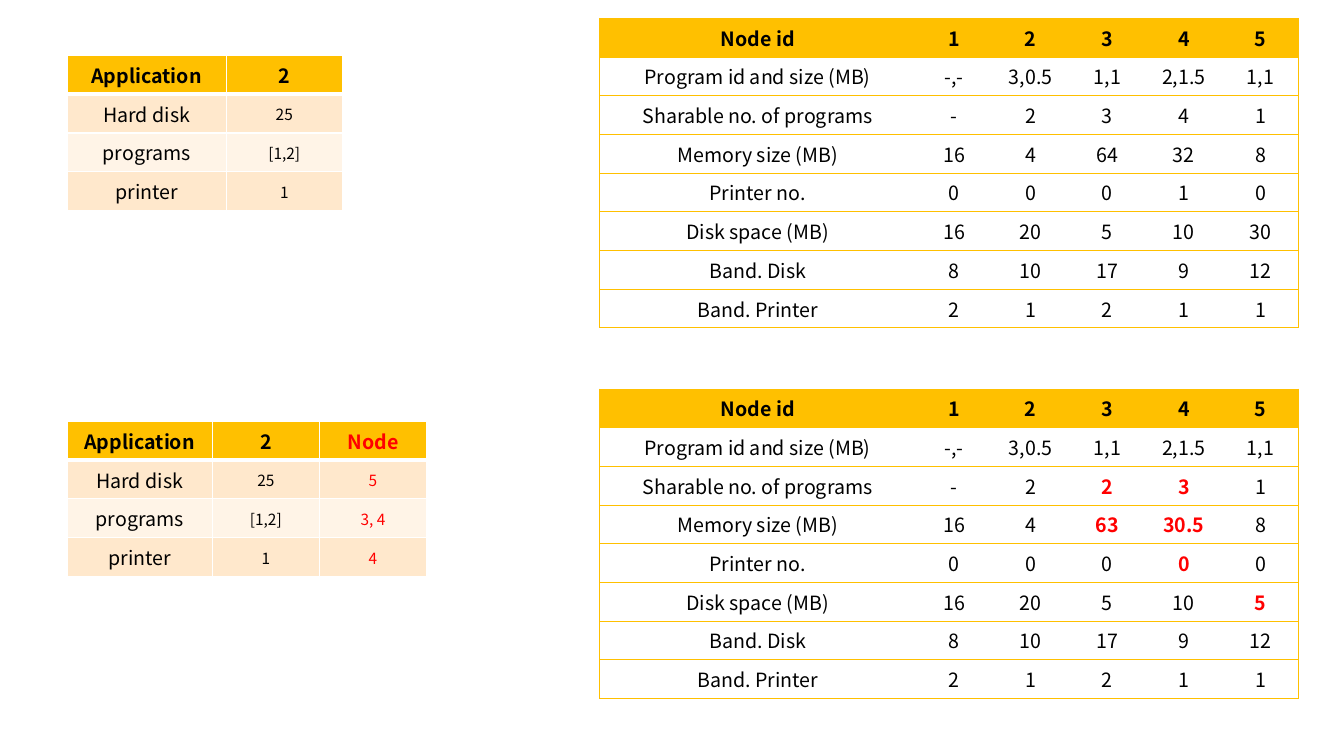
from dataclasses import dataclass, field

from lxml.etree import SubElement
from pptx import Presentation
from pptx.dml.color import RGBColor
from pptx.enum.text import MSO_ANCHOR, PP_ALIGN
from pptx.oxml.ns import qn
from pptx.util import Cm, Pt

FONT = "Noto Sans CJK JP"
GOLD, WHITE, BLACK, RED = "FFC000", "FFFFFF", "000000", "FF0000"
BANDS = ("FFE8CC", "FFF4E7")


@dataclass
class Grid:
    """A table on the slide; lengths are in centimetres."""
    left: float
    top: float
    columns: list[float]
    row_height: float
    rows: list[list[str]]
    red_cells: set[tuple[int, int]] = field(default_factory=set)


def color(value: str) -> RGBColor:
    return RGBColor.from_string(value)


def set_borders(cell, line_color: str, widths: dict[str, float]) -> None:
    """Draw the sides L, R, T and B; a side of width 0 has no line."""
    properties = cell._tc.get_or_add_tcPr()
    for index, side in enumerate("LRTB"):
        width = widths[side]
        line = SubElement(properties, qn(f"a:ln{side}"), w=str(Pt(width)))
        if width:
            fill = SubElement(line, qn("a:solidFill"))
            SubElement(fill, qn("a:srgbClr"), val=line_color)
        else:
            SubElement(line, qn("a:noFill"))
        properties.insert(index, line)


def style_application_cell(cell, row: int, column: int) -> None:
    cell.vertical_anchor = MSO_ANCHOR.MIDDLE
    cell.fill.solid()
    cell.fill.fore_color.rgb = color(BANDS[(row - 1) % 2] if row else GOLD)
    if row and column:
        cell.margin_left = cell.margin_right = cell.margin_top = Cm(0.03)
        cell.margin_bottom = 0
    set_borders(cell, WHITE, {"L": 1, "R": 1, "T": 3 if row == 1 else 1,
                              "B": 1 if row else 3})


def style_node_cell(cell, row: int, column: int, last_column: int) -> None:
    if row:
        cell.fill.background()
    else:
        cell.fill.solid()
        cell.fill.fore_color.rgb = color(GOLD)
    set_borders(cell, GOLD, {"L": 0 if column else 0.5,
                             "R": 0.5 if column == last_column else 0,
                             "T": 0.5, "B": 0.5})


def write_cell(cell, text: str, size: float, text_color: str, bold: bool) -> None:
    paragraph = cell.text_frame.paragraphs[0]
    paragraph.alignment = PP_ALIGN.CENTER
    run = paragraph.add_run()
    run.text = text
    run.font.name = FONT
    run.font.size = Pt(size)
    run.font.bold = bold
    run.font.color.rgb = color(text_color)


def draw_grid(slide, grid: Grid, is_application: bool) -> None:
    table = slide.shapes.add_table(
        len(grid.rows), len(grid.columns), Cm(grid.left), Cm(grid.top),
        Cm(sum(grid.columns)), Cm(grid.row_height * len(grid.rows))).table
    table.horz_banding = False
    for column, width in enumerate(grid.columns):
        table.columns[column].width = Cm(width)
    for row, texts in enumerate(grid.rows):
        table.rows[row].height = Cm(grid.row_height)
        for column, text in enumerate(texts):
            cell = table.cell(row, column)
            is_red = (row, column) in grid.red_cells
            if is_application:
                style_application_cell(cell, row, column)
            else:
                style_node_cell(cell, row, column, len(texts) - 1)
            write_cell(cell, text,
                       size=11 if is_application and row and column else 14,
                       text_color=RED if is_red else BLACK,
                       bold=row == 0 or (is_red and not is_application))


# Application requirements, and the nodes allotted to them
requirements = [
    ["Application", "2"],
    ["Hard disk", "25"],
    ["programs", "[1,2]"],
    ["printer", "1"],
]
allotted_nodes = ["Node", "5", "3, 4", "4"]
allotment = [row + [node] for row, node in zip(requirements, allotted_nodes)]

# Node resources before the allotment, and the values it changes
resources = [
    ["Node id", "1", "2", "3", "4", "5"],
    ["Program id and size (MB)", "-,-", "3,0.5", "1,1", "2,1.5", "1,1"],
    ["Sharable no. of programs", "-", "2", "3", "4", "1"],
    ["Memory size (MB)", "16", "4", "64", "32", "8"],
    ["Printer no.", "0", "0", "0", "1", "0"],
    ["Disk space (MB)", "16", "20", "5", "10", "30"],
    ["Band. Disk", "8", "10", "17", "9", "12"],
    ["Band. Printer", "2", "1", "2", "1", "1"],
]
changes = {(2, 3): "2", (2, 4): "3", (3, 3): "63", (3, 4): "30.5",
           (4, 4): "0", (5, 5): "5"}
remaining = [[changes.get((row, column), text) for column, text in enumerate(texts)]
             for row, texts in enumerate(resources)]

application_grids = [
    Grid(1.69, 1.4, [4.01, 2.93], 0.91, requirements),
    Grid(1.69, 10.62, [3.66, 2.7, 2.7], 0.91, allotment,
         {(row, 2) for row in range(len(allotment))}),
]
node_columns = [7.97] + [1.93] * 5
node_grids = [
    Grid(15.11, 0.46, node_columns, 0.93, resources),
    Grid(15.11, 9.8, node_columns, 0.93, remaining, set(changes)),
]


def main() -> None:
    presentation = Presentation()
    presentation.slide_width = Cm(33.87)
    presentation.slide_height = Cm(19.05)
    slide = presentation.slides.add_slide(presentation.slide_layouts[6])
    # Each state: application on the left, nodes on the right
    for application, nodes in zip(application_grids, node_grids):
        draw_grid(slide, application, is_application=True)
        draw_grid(slide, nodes, is_application=False)
    presentation.save("out.pptx")


if __name__ == "__main__":
    main()
